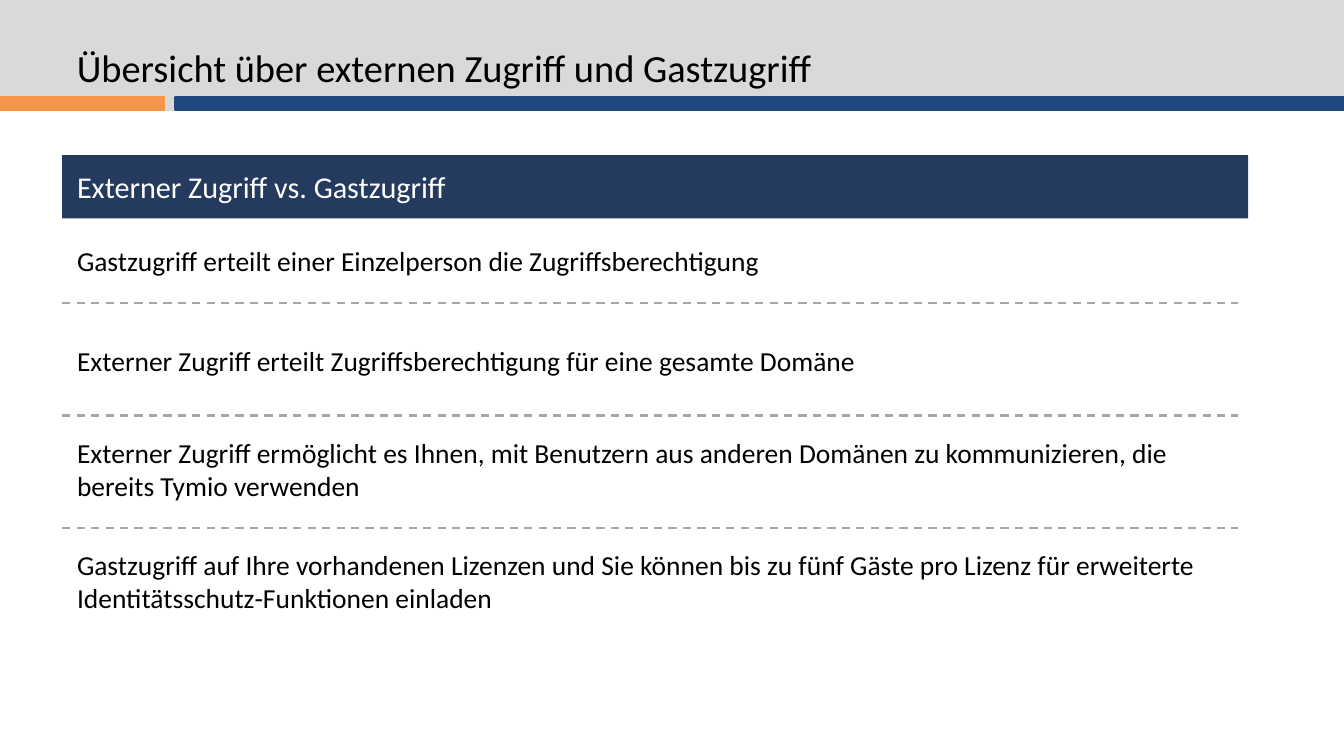
from dataclasses import dataclass

from lxml import etree
from pptx import Presentation
from pptx.dml.color import RGBColor
from pptx.enum.dml import MSO_LINE
from pptx.enum.shapes import MSO_CONNECTOR, MSO_SHAPE
from pptx.enum.text import MSO_ANCHOR, PP_ALIGN
from pptx.oxml.ns import qn
from pptx.util import Inches, Pt

RECT = MSO_SHAPE.RECTANGLE
LINE = MSO_CONNECTOR.STRAIGHT
DASH = MSO_LINE.DASH
MID, TOP = MSO_ANCHOR.MIDDLE, MSO_ANCHOR.TOP
LEFT = PP_ALIGN.LEFT

FONT = "Calibri"
HUES = {
    "grey": "D9D9D9", "orange": "F79646", "blue": "1F497D",
    "navy": "243A5E", "rule": "A6A6A6", "black": "000000", "white": "FFFFFF",
}

# Grid: 136 columns by 76.5 rows
WIDE, HIGH = Inches(13.6), Inches(7.65)
COLS, ROWS = 136, 76.5
EDGE = 6.3   # left edge of the content
STEP = 11.35   # rows between dashed rules
RULE = 30.7   # row of the first rule
GAP = 2.1   # rows from a rule to its text


@dataclass
class Box:
    x: float
    y: float
    w: float
    h: float


@dataclass
class Band:
    box: Box
    hue: str


@dataclass
class Item:
    text: str
    box: Box
    anchor: MSO_ANCHOR


def col(n: float) -> int:
    return round(WIDE * n / COLS)


def row(n: float) -> int:
    return round(HIGH * n / ROWS)


def rgb(hue: str) -> RGBColor:
    return RGBColor.from_string(HUES[hue])


def place(box: Box) -> tuple:
    return col(box.x), row(box.y), col(box.w), row(box.h)


def draw_band(slide, band: Band, edge: bool = True):
    shape = slide.shapes.add_shape(RECT, *place(band.box))
    shape.shadow.inherit = False
    shape.fill.solid()
    shape.fill.fore_color.rgb = rgb(band.hue)
    if edge:
        shape.line.color.rgb = rgb(band.hue)
        shape.line.width = Pt(2)
    else:
        shape.line.fill.background()
    return shape


def write(shape, text: str, size: int, hue: str, pads: tuple, anchor=MID) -> None:
    frame = shape.text_frame
    frame.word_wrap = True
    frame.vertical_anchor = anchor
    frame.margin_left, frame.margin_top, frame.margin_right, frame.margin_bottom = (
        col(pads[0]), row(pads[1]), col(pads[2]), row(pads[3]))
    frame.text = text
    para = frame.paragraphs[0]
    para.alignment = LEFT
    font = para.runs[0].font
    font.name, font.size = FONT, Pt(size)
    font.color.rgb = rgb(hue)


def draw_text(slide, item: Item, size: int, pads: tuple) -> None:
    shape = slide.shapes.add_textbox(*place(item.box))
    write(shape, item.text, size, "black", pads, item.anchor)


def draw_rule(slide, y: float) -> None:
    rule = slide.shapes.add_connector(LINE, col(EDGE), row(y), col(EDGE + 119), row(y))
    rule.line.color.rgb = rgb("rule")
    rule.line.width = Pt(1.5)
    rule.line.dash_style = DASH
    etree.SubElement(rule._element.spPr, qn("a:effectLst"))


BANDS = [
    Band(Box(0, 0, COLS, 11.1), "grey"),
    Band(Box(0, 9.9, 16.6, 1.2), "orange"),
    Band(Box(17.7, 9.9, 118.3, 1.2), "blue"),
]
TITLE = Item("Übersicht über externen Zugriff und Gastzugriff",
             Box(6.8, 3.9, 123, 5.7), MID)
HEAD = Band(Box(EDGE, 15.7, 120, 6.4), "navy")
RULES = [RULE + i * STEP for i in range(3)]
TOPS = [24.1] + [y + GAP for y in RULES]
TEXTS = [
    ("Gastzugriff erteilt einer Einzelperson die Zugriffsberechtigung", 4.6, MID),
    ("Externer Zugriff erteilt Zugriffsberechtigung für eine gesamte Domäne", 7.3, MID),
    ("Externer Zugriff ermöglicht es Ihnen, mit Benutzern aus anderen Domänen "
     "zu kommunizieren, die bereits Tymio verwenden", 6.7, TOP),
    ("Gastzugriff auf Ihre vorhandenen Lizenzen und Sie können bis zu fünf Gäste "
     "pro Lizenz für erweiterte Identitätsschutz-Funktionen einladen", 10.1, TOP),
]


def main() -> None:
    deck = Presentation()
    deck.slide_width, deck.slide_height = WIDE, HIGH
    slide = deck.slides.add_slide(deck.slide_layouts[6])

    # Title strip
    for band in BANDS:
        draw_band(slide, band)
    draw_text(slide, TITLE, 28, (1, 0.5, 1, 0.5))

    # Heading bar
    bar = draw_band(slide, HEAD, edge=False)
    write(bar, "Externer Zugriff vs. Gastzugriff", 22, "white", (1.5, 1.5, 2, 1.5))

    # Statements with dashed rules between them
    for y, (text, high, anchor) in zip(TOPS, TEXTS):
        draw_text(slide, Item(text, Box(EDGE, y, 120, high), anchor), 20, (1.5, 0, 0, 0))
    for y in RULES:
        draw_rule(slide, y)

    deck.save("out.pptx")


if __name__ == "__main__":
    main()
